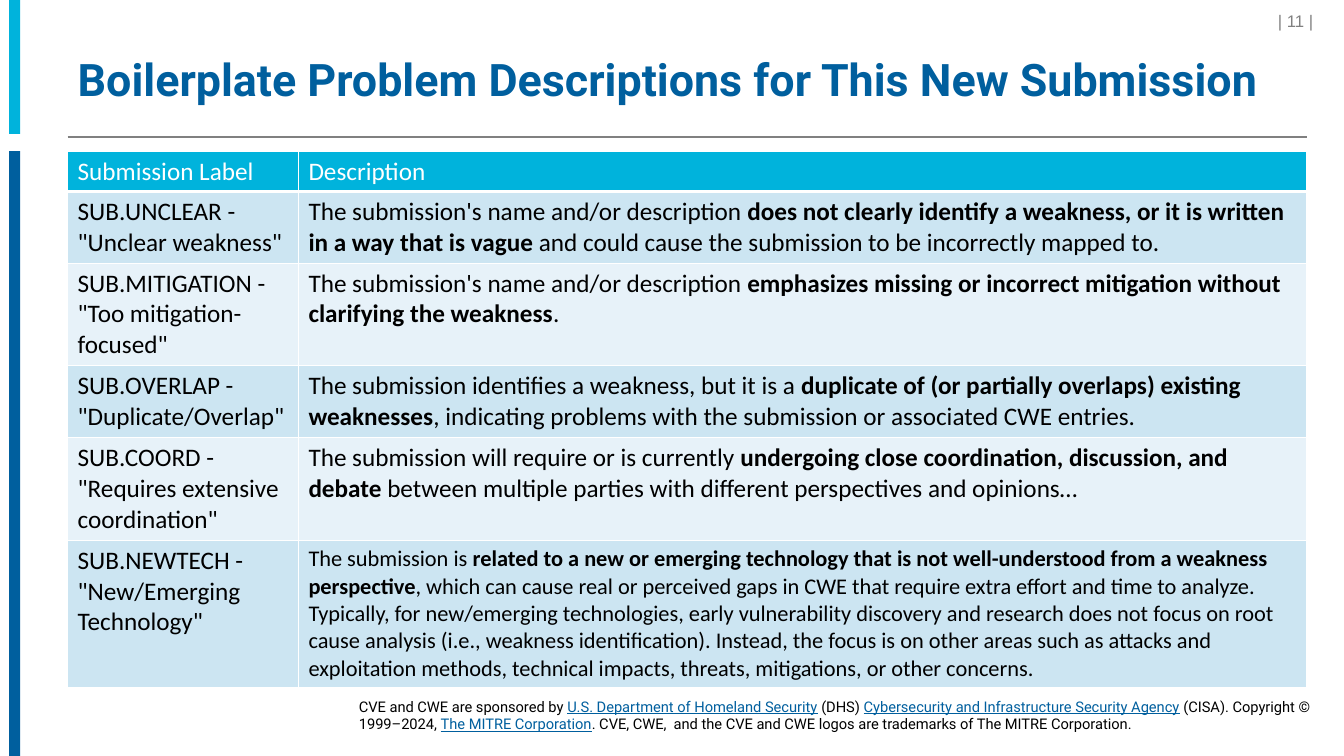
from dataclasses import dataclass

import pptx
import pptx.dml.color
import pptx.enum.shapes
import pptx.enum.text
import pptx.oxml
import pptx.oxml.ns
import pptx.util
from lxml import etree

EMU_PER_PX = 9144
COLORS = {
    "cyan": "00B3DC",
    "blue": "005F9E",
    "gray": "808080",
    "black": "000000",
    "white": "FFFFFF",
    "band_dark": "CCE5F2",
    "band_light": "E7F2F9",
}
LEFT, CONTENT_WIDTH = 67, 1229
COLUMN_WIDTHS = (229, 1000)
HEADER_HEIGHT = 40


@dataclass(frozen=True)
class Box:
    left: int
    top: int
    width: int
    height: int


@dataclass(frozen=True)
class Bar:
    box: Box
    color: str


@dataclass(frozen=True)
class TextStyle:
    font: str
    size: float
    color: str
    bold: bool = False
    underline: bool = False


@dataclass(frozen=True)
class Problem:
    label: str
    description: str
    height: int
    size: int = 18


BARS = (
    Bar(Box(9, 0, 11, 133), "cyan"),
    Bar(Box(9, 150, 11, 600), "blue"),
)
PROBLEMS = (
    Problem(
        'SUB.UNCLEAR - "Unclear weakness"',
        "The submission's name and/or description **does not clearly identify a weakness, "
        "or it is written in a way that is vague** and could cause the submission to be "
        "incorrectly mapped to.",
        71,
    ),
    Problem(
        'SUB.MITIGATION - "Too mitigation-focused"',
        "The submission's name and/or description **emphasizes missing or incorrect "
        "mitigation without clarifying the weakness**.",
        102,
    ),
    Problem(
        'SUB.OVERLAP - "Duplicate/Overlap"',
        "The submission identifies a weakness, but it is a **duplicate of (or partially "
        "overlaps) existing weaknesses**, indicating problems with the submission or "
        "associated CWE entries.",
        71,
    ),
    Problem(
        'SUB.COORD - "Requires extensive coordination"',
        "The submission will require or is currently **undergoing close coordination, "
        "discussion, and debate** between multiple parties with different perspectives "
        "and opinions…",
        102,
    ),
    Problem(
        'SUB.NEWTECH - "New/Emerging Technology"',
        "The submission is **related to a new or emerging technology that is not "
        "well-understood from a weakness perspective**, which can cause real or perceived "
        "gaps in CWE that require extra effort and time to analyze. Typically, for "
        "new/emerging technologies, early vulnerability discovery and research does not "
        "focus on root cause analysis (i.e., weakness identification). Instead, the focus "
        "is on other areas such as attacks and exploitation methods, technical impacts, "
        "threats, mitigations, or other concerns.",
        146,
        16,
    ),
)
FOOTER = (
    "CVE and CWE are sponsored by **U.S. Department of Homeland Security** (DHS) "
    "**Cybersecurity and Infrastructure Security Agency** (CISA). Copyright © 1999–2024, "
    "**The MITRE Corporation**. CVE, CWE,  and the CVE and CWE logos are trademarks of "
    "The MITRE Corporation."
)


def px(length: int) -> pptx.util.Emu:
    return pptx.util.Emu(length * EMU_PER_PX)


def place(box: Box) -> tuple:
    return px(box.left), px(box.top), px(box.width), px(box.height)


def rgb(color: str) -> pptx.dml.color.RGBColor:
    return pptx.dml.color.RGBColor.from_string(COLORS[color])


def write(paragraph, marked_text: str, plain: TextStyle, marked: TextStyle) -> None:
    for index, part in enumerate(marked_text.split("**")):
        style = marked if index % 2 else plain
        run = paragraph.add_run()
        run.text = part
        run.font.name = style.font
        run.font.size = pptx.util.Pt(style.size)
        run.font.bold = style.bold
        run.font.underline = style.underline
        run.font.color.rgb = rgb(style.color)


def add_bar(slide, bar: Bar) -> None:
    shape = slide.shapes.add_shape(pptx.enum.shapes.MSO_SHAPE.RECTANGLE, *place(bar.box))
    shape.shadow.inherit = False
    shape.fill.solid()
    shape.fill.fore_color.rgb = rgb(bar.color)
    shape.line.fill.background()


def add_rule(slide, top: int) -> None:
    rule = slide.shapes.add_connector(
        pptx.enum.shapes.MSO_CONNECTOR.STRAIGHT,
        px(LEFT), px(top), px(LEFT + CONTENT_WIDTH), px(top),
    )
    rule.line.color.rgb = rgb("gray")
    rule.line.width = pptx.util.Pt(1)
    etree.SubElement(rule._element.spPr, pptx.oxml.ns.qn("a:effectLst"))


def add_text(slide, box: Box, marked_text: str, plain: TextStyle, marked: TextStyle):
    frame = slide.shapes.add_textbox(*place(box)).text_frame
    frame.word_wrap = True
    write(frame.paragraphs[0], marked_text, plain, marked)
    return frame


def set_title(slide, text: str) -> None:
    title = slide.shapes.title
    title.left, title.top, title.width, title.height = place(Box(LEFT, 40, CONTENT_WIDTH, 82))
    frame = title.text_frame
    frame.auto_size = pptx.enum.text.MSO_AUTO_SIZE.NONE
    frame.vertical_anchor = pptx.enum.text.MSO_ANCHOR.MIDDLE
    paragraph = frame.paragraphs[0]
    paragraph.alignment = pptx.enum.text.PP_ALIGN.LEFT
    paragraph.line_spacing = 0.9
    style = TextStyle("Roboto", 32, "blue", bold=True)
    write(paragraph, text, style, style)


def set_borders(cell, bottom_points: int) -> None:
    properties = cell._tc.get_or_add_tcPr()
    for side, points in (("L", 1), ("R", 1), ("T", 1), ("B", bottom_points)):
        properties.append(pptx.oxml.parse_xml(
            f'<a:ln{side} {pptx.oxml.ns.nsdecls("a")} w="{pptx.util.Pt(points)}">'
            f'<a:solidFill><a:srgbClr val="{COLORS["white"]}"/></a:solidFill></a:ln{side}>'
        ))


def fill_cell(cell, text: str, size: int, color: str, fill: str, bottom_points: int) -> None:
    set_borders(cell, bottom_points)
    cell.fill.solid()
    cell.fill.fore_color.rgb = rgb(fill)
    plain = TextStyle("Calibri", size, color)
    marked = TextStyle("Calibri", size, color, bold=True)
    write(cell.text_frame.paragraphs[0], text, plain, marked)


def add_problem_table(slide) -> None:
    heights = [HEADER_HEIGHT] + [problem.height for problem in PROBLEMS]
    box = Box(LEFT, 150, CONTENT_WIDTH, sum(heights))
    table = slide.shapes.add_table(len(heights), len(COLUMN_WIDTHS), *place(box)).table
    table.horz_banding = False
    for column, width in zip(table.columns, COLUMN_WIDTHS):
        column.width = px(width)
    for row, height in zip(table.rows, heights):
        row.height = px(height)
    for column, heading in enumerate(("Submission Label", "Description")):
        fill_cell(table.cell(0, column), heading, 18, "white", "cyan", 3)
    for row, problem in enumerate(PROBLEMS, start=1):
        band = "band_dark" if row % 2 else "band_light"
        fill_cell(table.cell(row, 0), problem.label, 18, "black", band, 1)
        fill_cell(table.cell(row, 1), problem.description, problem.size, "black", band, 1)


def main() -> None:
    presentation = pptx.Presentation()
    presentation.slide_width, presentation.slide_height = px(1333), px(750)
    slide = presentation.slides.add_slide(presentation.slide_layouts[5])
    for bar in BARS:
        add_bar(slide, bar)
    add_rule(slide, 136)
    footer = add_text(
        slide, Box(351, 687, 954, 45), FOOTER,
        TextStyle("Roboto", 10.5, "black"), TextStyle("Roboto", 10.5, "blue", underline=True),
    )
    footer.margin_left = footer.margin_right = px(5)
    set_title(slide, "Boilerplate Problem Descriptions for This New Submission")
    add_problem_table(slide)
    number_style = TextStyle("Arial", 12, "gray")
    number = add_text(slide, Box(1124, 6, 193, 28), "| 11 | ", number_style, number_style)
    number.paragraphs[0].alignment = pptx.enum.text.PP_ALIGN.RIGHT
    presentation.save("out.pptx")


if __name__ == "__main__":
    main()
